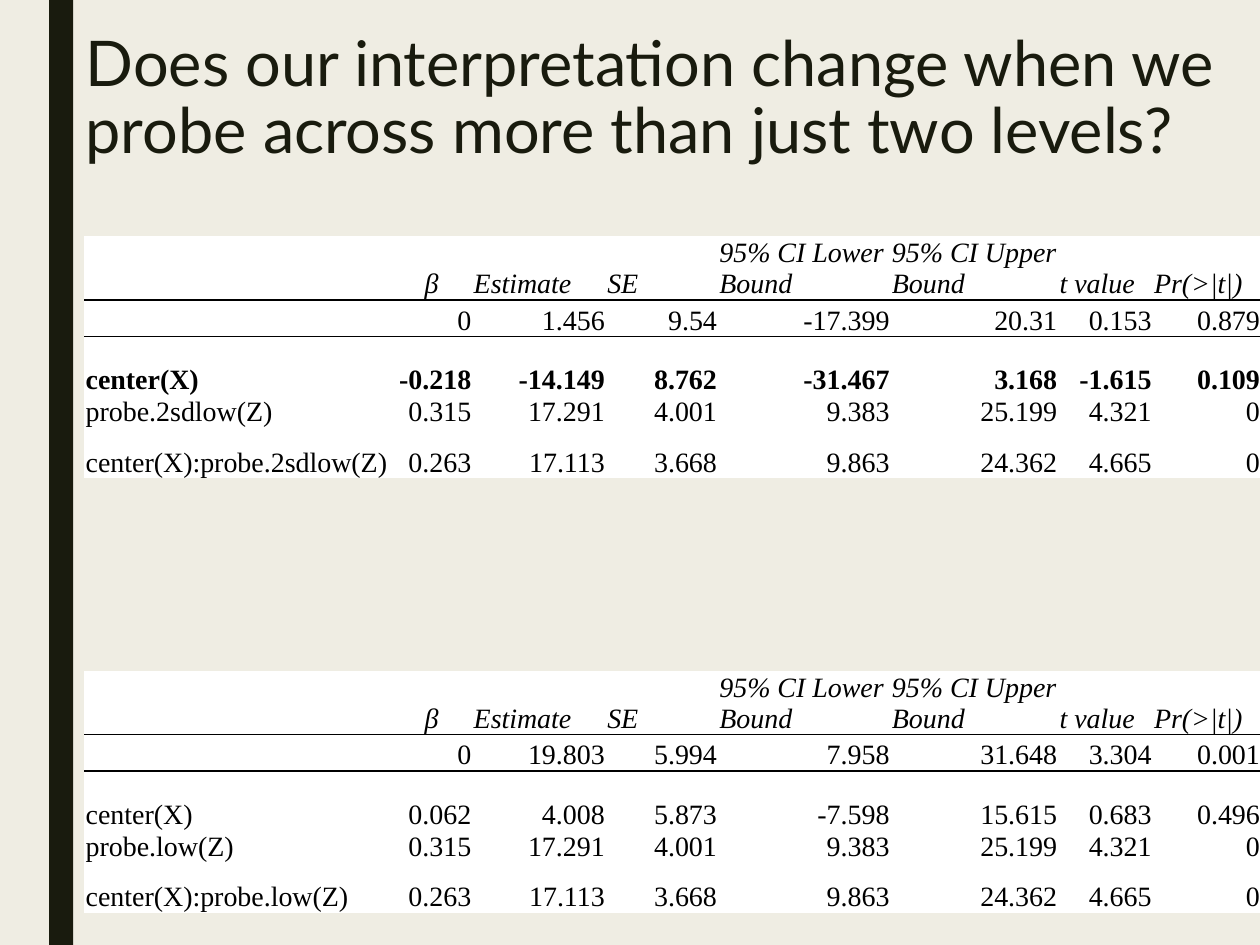
from dataclasses import dataclass

from lxml import etree
from pptx import Presentation
from pptx import util as u
from pptx.dml.color import RGBColor
from pptx.enum import shapes, text
from pptx.oxml import ns

WIDTH, HEIGHT = u.Inches(10), u.Inches(7.5)
NO_STYLE = "{2D5ABB26-0587-4C30-8999-92F81FD0307C}"
LEFT, CENTER, RIGHT = text.PP_ALIGN.LEFT, text.PP_ALIGN.CENTER, text.PP_ALIGN.RIGHT


@dataclass(frozen=True)
class Theme:
    paper: str = "EFEDE3"
    ink: str = "191B0E"
    cell: str = "FFFFFF"
    data: str = "000000"
    title_font: str = "Lato"
    data_font: str = "Times New Roman"
    title_size: int = 36
    data_size: int = 16
    rule: int = 1


@dataclass(frozen=True)
class Coefficients:
    top: float  # share of the slide height
    rows: tuple[tuple[str, ...], ...]
    bold_row: int | None = None


THEME = Theme()
TABLE_LEFT = 0.067  # share of the slide width
COLUMNS = (2.43, 0.65, 1.06, 0.89, 1.37, 1.33, 0.75, 0.86)
ROWS = (0.47, 0.24, 0.47, 0.24, 0.4)
HEADER = ("", "β", "Estimate", "SE", "95% CI Lower Bound", "95% CI Upper Bound",
          "t value", "Pr(>|t|)")

TABLES = (
    Coefficients(0.25, (
        ("", "0", "1.456", "9.54", "-17.399", "20.31", "0.153", "0.879"),
        ("center(X)", "-0.218", "-14.149", "8.762", "-31.467", "3.168", "-1.615", "0.109"),
        ("probe.2sdlow(Z)", "0.315", "17.291", "4.001", "9.383", "25.199", "4.321", "0"),
        ("center(X):probe.2sdlow(Z)", "0.263", "17.113", "3.668", "9.863", "24.362",
         "4.665", "0"),
    ), bold_row=2),
    Coefficients(0.71, (
        ("", "0", "19.803", "5.994", "7.958", "31.648", "3.304", "0.001"),
        ("center(X)", "0.062", "4.008", "5.873", "-7.598", "15.615", "0.683", "0.496"),
        ("probe.low(Z)", "0.315", "17.291", "4.001", "9.383", "25.199", "4.321", "0"),
        ("center(X):probe.low(Z)", "0.263", "17.113", "3.668", "9.863", "24.362",
         "4.665", "0"),
    )),
)


def write(tf, words: str, *, font: str, size: int, color: str, align=LEFT,
          bold: bool = False, italic: bool = False, spacing: float | None = None) -> None:
    p = tf.paragraphs[0]
    p.alignment = align
    p.line_spacing = spacing
    r = p.add_run()
    r.text = words
    r.font.name, r.font.size = font, u.Pt(size)
    r.font.bold, r.font.italic = bold, italic
    r.font.color.rgb = RGBColor.from_string(color)


def add_rule(cell, side: str) -> None:
    """Draw a border on one side of a cell: lnT or lnB."""
    line = etree.Element(ns.qn(f"a:{side}"), w=str(u.Pt(THEME.rule)))
    fill = etree.SubElement(line, ns.qn("a:solidFill"))
    etree.SubElement(fill, ns.qn("a:srgbClr"), val=THEME.data)
    cell._tc.get_or_add_tcPr().insert(0, line)


def alignment(row: int, col: int):
    if row == 0:
        return CENTER if col == 1 else LEFT
    return RIGHT if col else LEFT


def add_coefficients(s, data: Coefficients) -> None:
    frame = s.shapes.add_table(
        len(ROWS), len(COLUMNS), int(WIDTH * TABLE_LEFT), int(HEIGHT * data.top),
        u.Inches(sum(COLUMNS)), u.Inches(sum(ROWS)))
    table = frame.table
    table.first_row = table.horz_banding = False
    table._tbl.tblPr.find(ns.qn("a:tableStyleId")).text = NO_STYLE
    for column, width in zip(table.columns, COLUMNS):
        column.width = u.Inches(width)
    for row, height in zip(table.rows, ROWS):
        row.height = u.Inches(height)
    for i, values in enumerate((HEADER, *data.rows)):
        for j, value in enumerate(values):
            cell = table.cell(i, j)
            cell.margin_left = cell.margin_right = cell.margin_top = u.Inches(0.01)
            cell.margin_bottom = 0
            cell.vertical_anchor = text.MSO_ANCHOR.BOTTOM
            cell.fill.solid()
            cell.fill.fore_color.rgb = RGBColor.from_string(THEME.cell)
            write(cell.text_frame, value, font=THEME.data_font, size=THEME.data_size,
                  color=THEME.data, align=alignment(i, j),
                  bold=i == data.bold_row, italic=i == 0)
            if i < 2:
                add_rule(cell, ("lnB", "lnT")[i])


def add_side_bar(s) -> None:
    sp = s.shapes.add_shape(shapes.MSO_SHAPE.RECTANGLE, int(WIDTH * 0.039), 0,
                            int(WIDTH * 0.019), HEIGHT)
    sp.shadow.inherit = False
    sp.fill.solid()
    sp.fill.fore_color.rgb = RGBColor.from_string(THEME.ink)
    sp.line.fill.background()


def set_title(s, words: str) -> None:
    sp = s.shapes.title
    sp.left, sp.top = int(WIDTH * 0.058), int(HEIGHT * 0.028)
    sp.width, sp.height = int(WIDTH * 0.917), int(HEIGHT * 0.223)
    tf = sp.text_frame
    tf.word_wrap = True
    tf.auto_size = text.MSO_AUTO_SIZE.NONE
    tf.vertical_anchor = text.MSO_ANCHOR.TOP
    write(tf, words, font=THEME.title_font, size=THEME.title_size, color=THEME.ink,
          spacing=0.89)


def main() -> None:
    prs = Presentation()
    prs.slide_width, prs.slide_height = WIDTH, HEIGHT
    s = prs.slides.add_slide(prs.slide_layouts.get_by_name("Title Only"))
    s.background.fill.solid()
    s.background.fill.fore_color.rgb = RGBColor.from_string(THEME.paper)
    add_side_bar(s)
    set_title(s, "Does our interpretation change when we probe across more than "
                 "just two levels?")
    for data in TABLES:
        add_coefficients(s, data)
    prs.save("out.pptx")


if __name__ == "__main__":
    main()
